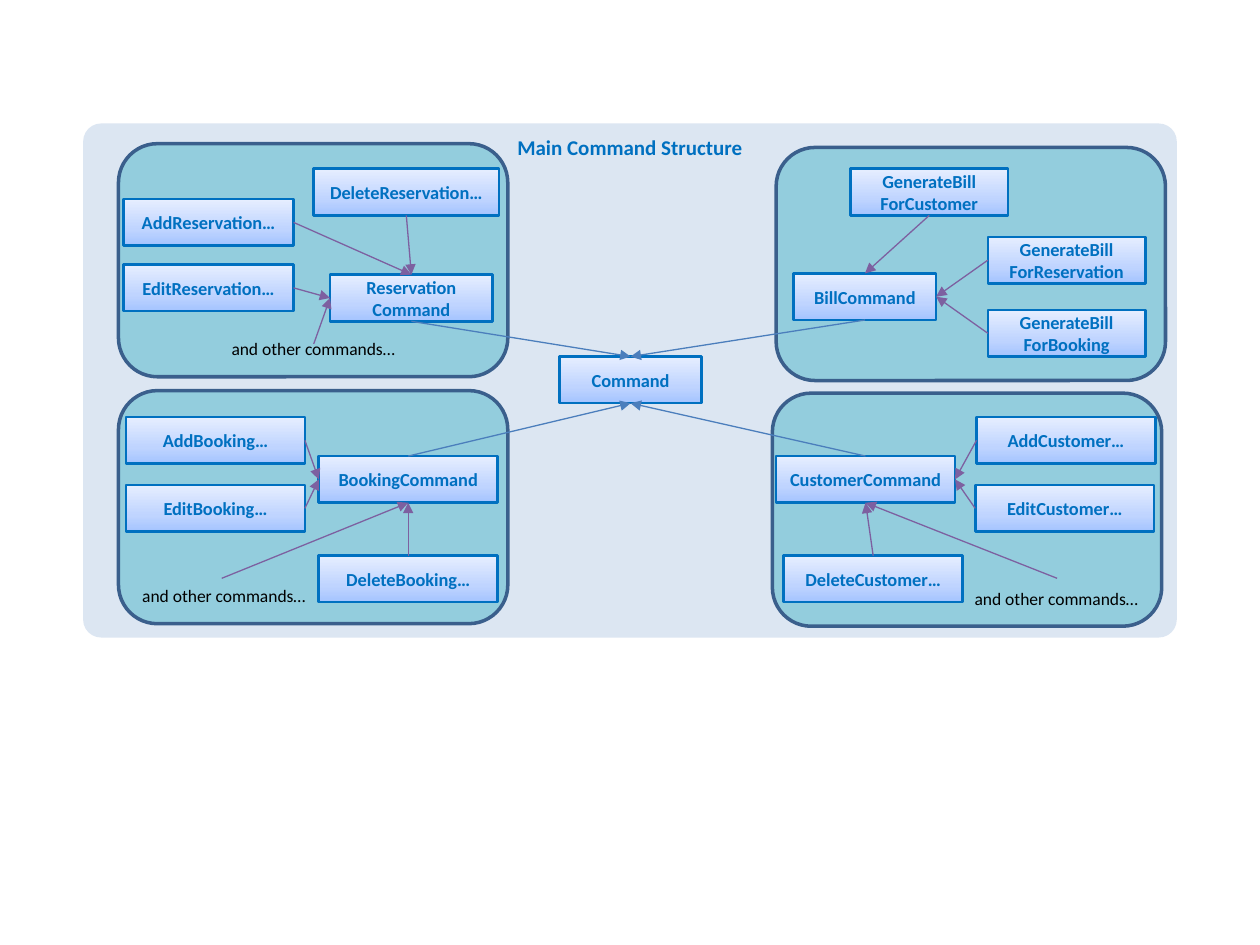
from copy import deepcopy

from pptx import Presentation
from pptx.dml.color import RGBColor
from pptx.enum.shapes import MSO_CONNECTOR, MSO_SHAPE
from pptx.enum.text import MSO_ANCHOR, PP_ALIGN
from pptx.oxml.ns import qn
from pptx.util import Inches, Pt
from lxml.etree import SubElement

# Content
TITLE = "Main Command Structure"
OTHERS = "and other commands…"
PANEL = (0.66, 0.98, 8.68, 4.08)
GROUP_W, GROUP_H = 3.09, 1.85
BOX_H = 0.37
TOP, LEFT, BOTTOM, RIGHT = range(4)

# Groups: left, top, caption, alignment
GROUPS = [
    (0.94, 1.14, OTHERS, PP_ALIGN.CENTER),
    (6.16, 1.17, "", PP_ALIGN.LEFT),
    (0.94, 3.10, OTHERS, PP_ALIGN.LEFT),
    (6.13, 3.12, OTHERS, PP_ALIGN.RIGHT),
]

# Boxes: text, left, top, width
BOXES = {
    "command": ("Command", 4.44, 2.83, 1.13),
    "reservation": ("Reservation\nCommand", 2.62, 2.18, 1.29),
    "add reservation": ("AddReservation…", 0.98, 1.58, 1.35),
    "edit reservation": ("EditReservation…", 0.98, 2.10, 1.35),
    "delete reservation": ("DeleteReservation…", 2.49, 1.34, 1.47),
    "bill": ("BillCommand", 6.30, 2.17, 1.13),
    "customer bill": ("GenerateBill\nForCustomer", 6.75, 1.34, 1.25),
    "reservation bill": ("GenerateBill\nForReservation", 7.84, 1.88, 1.25),
    "booking bill": ("GenerateBill\nForBooking", 7.84, 2.46, 1.25),
    "booking": ("BookingCommand", 2.53, 3.62, 1.42),
    "add booking": ("AddBooking…", 1.00, 3.31, 1.42),
    "edit booking": ("EditBooking…", 1.00, 3.85, 1.42),
    "delete booking": ("DeleteBooking…", 2.53, 4.41, 1.42),
    "customer": ("CustomerCommand", 6.16, 3.62, 1.42),
    "add customer": ("AddCustomer…", 7.75, 3.31, 1.42),
    "edit customer": ("EditCustomer…", 7.74, 3.85, 1.42),
    "delete customer": ("DeleteCustomer…", 6.22, 4.41, 1.42),
}

# Arrows: start box and side (or a free point), end box and side
MAIN_ARROWS = [
    ("reservation", BOTTOM, "command", TOP),
    ("bill", BOTTOM, "command", TOP),
    ("booking", TOP, "command", BOTTOM),
    ("customer", TOP, "command", BOTTOM),
]
SUB_ARROWS = [
    ("add reservation", RIGHT, "reservation", TOP),
    ("edit reservation", RIGHT, "reservation", LEFT),
    ("delete reservation", BOTTOM, "reservation", TOP),
    ((2.49, 2.73), None, "reservation", LEFT),
    ("customer bill", BOTTOM, "bill", TOP),
    ("reservation bill", LEFT, "bill", RIGHT),
    ("booking bill", LEFT, "bill", RIGHT),
    ("add booking", RIGHT, "booking", LEFT),
    ("edit booking", RIGHT, "booking", LEFT),
    ("delete booking", TOP, "booking", BOTTOM),
    ((1.76, 4.59), None, "booking", BOTTOM),
    ("add customer", LEFT, "customer", RIGHT),
    ("edit customer", LEFT, "customer", RIGHT),
    ("delete customer", TOP, "customer", BOTTOM),
    ((8.39, 4.59), None, "customer", BOTTOM),
]
GRADIENT = [(0, "A4C4FF"), (0.35, "BFD4FF"), (1, "E6EEFF")]


def rgb(value):
    return RGBColor.from_string(value)


def add_block(kind, at, fill=None, line=None, width=1):
    sp = slide.shapes.add_shape(kind, *map(Inches, at))
    sp.shadow.inherit = False
    if fill:
        sp.fill.solid()
        sp.fill.fore_color.rgb = rgb(fill)
    if line:
        sp.line.color.rgb = rgb(line)
        sp.line.width = Pt(width)
    else:
        sp.line.fill.background()
    return sp


def write(sp, text, size, color, bold, align, anchor):
    tf = sp.text_frame
    tf.word_wrap = True
    tf.vertical_anchor = anchor
    tf.text = text
    for p in tf.paragraphs:
        p.alignment = align
        p.font.name = "Calibri"
        p.font.size = Pt(size)
        p.font.bold = bold
        p.font.color.rgb = rgb(color)


def add_box(text, left, top, width):
    sp = add_block(MSO_SHAPE.RECTANGLE, (left, top, width, BOX_H), line="0070C0", width=1.5)
    sp.fill.gradient()
    sp.fill.gradient_angle = 90
    stops = sp._element.spPr.find(".//" + qn("a:gsLst"))
    stops.append(deepcopy(stops[0]))
    for stop, (position, color) in zip(sp.fill.gradient_stops, GRADIENT):
        stop.position = position
        stop.color.rgb = rgb(color)
    tf = sp.text_frame
    tf.margin_left = tf.margin_right = Inches(0.05)
    write(sp, text, 10.5, "0070C0", True, PP_ALIGN.CENTER, MSO_ANCHOR.MIDDLE)
    return sp


def add_arrow(start, start_side, end, end_side, color):
    x, y = (0, 0) if start in boxes else start
    line = slide.shapes.add_connector(MSO_CONNECTOR.STRAIGHT, Inches(x), Inches(y), 0, 0)
    if start in boxes:
        line.begin_connect(boxes[start], start_side)
    line.end_connect(boxes[end], end_side)
    line.line.color.rgb = rgb(color)
    line.line.width = Pt(0.75)
    SubElement(line.line._get_or_add_ln(), qn("a:tailEnd"), type="triangle")
    SubElement(line._element.spPr, qn("a:effectLst"))


prs = Presentation()
prs.slide_width, prs.slide_height = Inches(10), Inches(7.5)
slide = prs.slides.add_slide(prs.slide_layouts[6])

# Panel with the heading
panel = add_block(MSO_SHAPE.ROUNDED_RECTANGLE, PANEL, "DCE6F2")
panel.adjustments[0] = 0.035
write(panel, TITLE, 12, "0070C0", True, PP_ALIGN.CENTER, MSO_ANCHOR.TOP)

# Command groups
for left, top, caption, align in GROUPS:
    group = add_block(MSO_SHAPE.ROUNDED_RECTANGLE, (left, top, GROUP_W, GROUP_H),
                      "93CDDD", "3A5F8C", 2)
    if caption:
        write(group, caption, 10, "000000", False, align, MSO_ANCHOR.BOTTOM)

# Command boxes and the arrows between them
boxes = {name: add_box(*box) for name, box in BOXES.items()}
for arrows, color in ((MAIN_ARROWS, "4B7EBC"), (SUB_ARROWS, "7D60A0")):
    for arrow in arrows:
        add_arrow(*arrow, color)

prs.save("out.pptx")
